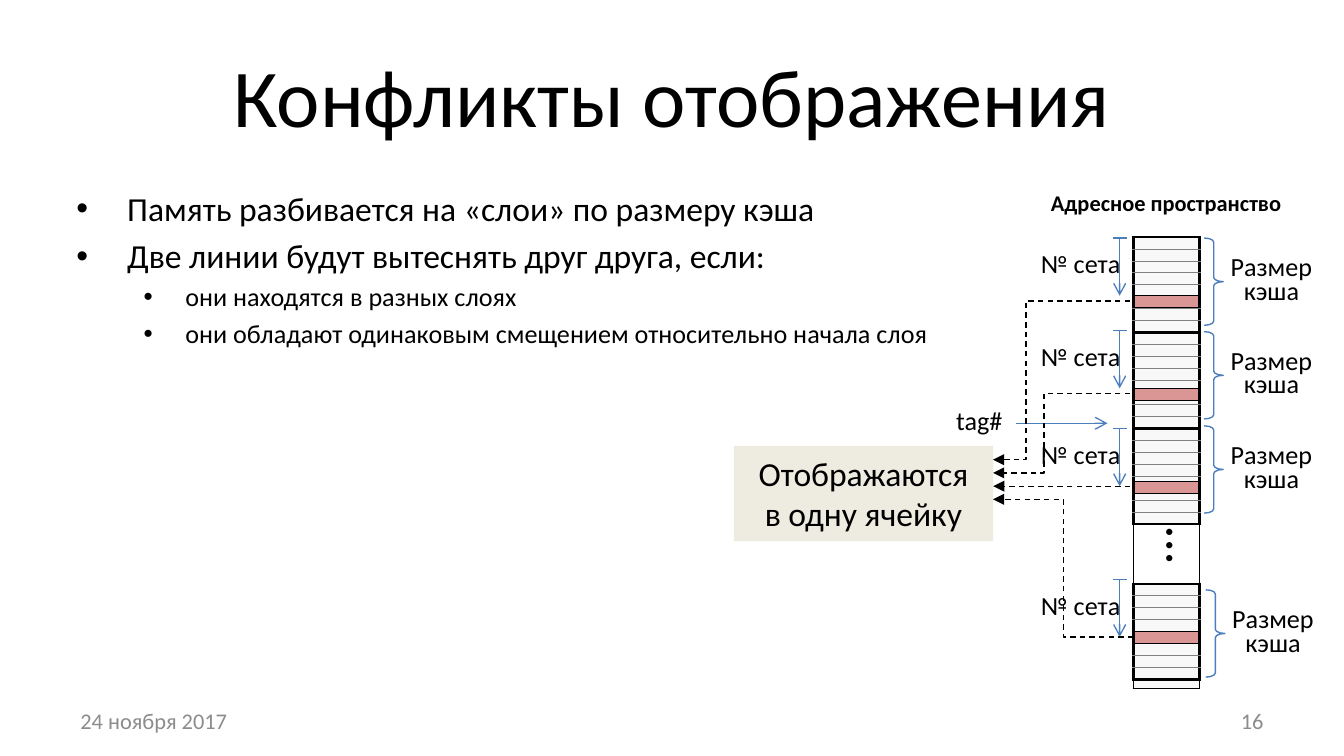
"""Build the slide on cache mapping conflicts."""
from lxml.etree import SubElement
from pptx import Presentation
from pptx.dml.color import RGBColor
from pptx.enum.dml import MSO_LINE
from pptx.enum.shapes import MSO_CONNECTOR, MSO_SHAPE
from pptx.enum.text import MSO_ANCHOR, MSO_AUTO_SIZE, PP_ALIGN
from pptx.oxml.ns import qn
from pptx.util import Cm, Pt

FONT = "Calibri"
BLACK, GREY, BLUE = "000000", "808080", "4B7EBC"
PALE, WHITE, RED, SAND, DIM = "F8F8F8", "FFFFFF", "D99694", "EEECE1", "8C8C8C"
LEFT, MID, RIGHT = PP_ALIGN.LEFT, PP_ALIGN.CENTER, PP_ALIGN.RIGHT

TITLE = "Конфликты отображения"
POINTS = [
    (0, "Память разбивается на «слои» по размеру кэша"),
    (0, "Две линии будут вытеснять друг друга, если:"),
    (1, "они находятся в разных слоях"),
    (1, "они обладают одинаковым смещением относительно начала слоя"),
]
LEVELS = [(18, 0.96, 0.96), (14, 2.06, 0.79)]

SPACE = (21.42, 4.48, 1.25, 8.39)
ROWS, GAP = 37, range(24, 29)
STEP, REST = SPACE[3] / ROWS, 0.17
THIN, BOLD, FINE = (BLACK, 1), (BLACK, 1.5), (GREY, 0.5)
GRIDS = [
    {"side": THIN, "bounds": {0: THIN, 37: THIN}, "inner": None, "rest": REST},
    {"side": THIN, "bounds": {0: THIN, 37: THIN}, "inner": FINE, "rest": REST},
    {"side": BOLD, "bounds": dict.fromkeys((0, 8, 16, 24, 29, 37), BOLD),
     "inner": FINE, "rest": 0},
]
LAYERS = [
    {"brace": (22.76, 4.5), "mark": 4.5, "line": 5.59, "from": 21.36, "bend": 0.76},
    {"brace": (22.76, 6.27), "mark": 6.25, "line": 7.34, "from": 21.36, "bend": 0.63},
    {"brace": (22.76, 8.05), "mark": 8.1, "line": 9.1, "from": 21.36, "bend": None},
    {"brace": (22.79, 11.15), "mark": 10.95, "line": 11.94, "from": 21.42, "bend": 0.5},
]
CELL = (13.87, 8.43, 4.9, 1.8)

deck = Presentation()
deck.slide_width, deck.slide_height = Cm(25.4), Cm(14.29)
slide = deck.slides.add_slide(deck.slide_layouts[1])
shapes = slide.shapes


def hue(code):
    return RGBColor.from_string(code)


def place(shape, box):
    shape.left, shape.top, shape.width, shape.height = map(Cm, box)


def write(par, text, size, color=BLACK, bold=False):
    run = par.add_run()
    run.text = text
    font = run.font
    font.name, font.size, font.bold = FONT, Pt(size), bold
    font.color.rgb = hue(color)


def label(box, text, size=14, color=BLACK, align=MID, wrap=True,
          anchor=MSO_ANCHOR.MIDDLE, bold=False, tight=False):
    shape = shapes.add_textbox(*map(Cm, box))
    frame = shape.text_frame
    frame.word_wrap, frame.vertical_anchor = wrap, anchor
    par = frame.paragraphs[0]
    par.alignment = align
    if tight:
        par.line_spacing = 0.75
    write(par, text, size, color, bold)
    return shape


def wire(start, end, color=BLUE, head=None, dash=False, bend=None):
    kind = MSO_CONNECTOR.STRAIGHT if bend is None else MSO_CONNECTOR.ELBOW
    link = shapes.add_connector(kind, *map(Cm, start + end))
    link.line.color.rgb, link.line.width = hue(color), Pt(0.75)
    if dash:
        link.line.dash_style = MSO_LINE.DASH
    props = link._element.spPr
    if head:
        SubElement(props.find(qn("a:ln")), qn("a:tailEnd"), type=head)
    if bend is not None:
        geom = props.find(qn("a:prstGeom"))
        guides = geom.find(qn("a:avLst"))
        if guides is None:
            guides = SubElement(geom, qn("a:avLst"))
        SubElement(guides, qn("a:gd"), name="adj1", fmla=f"val {bend * 100000:.0f}")
    SubElement(props, qn("a:effectLst"))


def border(props, side, edge):
    if edge is None:
        SubElement(SubElement(props, qn("a:" + side), w="0"), qn("a:noFill"))
        return
    color, width = edge
    line = SubElement(props, qn("a:" + side), w=str(Pt(width)))
    SubElement(SubElement(line, qn("a:solidFill")), qn("a:srgbClr"), val=color)


def stack(box, rows, rest=0):
    table = shapes.add_table(len(rows), 1, *map(Cm, box)).table
    table.first_row = table.horz_banding = False
    for row, (fill, side, top, base) in zip(table.rows, rows):
        row.height = Cm(STEP)
        cell = row.cells[0]
        cell.margin_left = cell.margin_right = cell.margin_top = cell.margin_bottom = 0
        props = cell._tc.get_or_add_tcPr()
        for name, edge in zip(("lnL", "lnR", "lnT", "lnB"), (side, side, top, base)):
            border(props, name, edge)
        cell.fill.solid()
        cell.fill.fore_color.rgb = hue(fill)
        SubElement(cell.text_frame.paragraphs[0]._p, qn("a:endParaRPr"), sz="400")
    row.height = Cm(STEP + rest)


def draw_grid(grid):
    def rule(row):
        inner = None if row in GAP[1:] else grid["inner"]
        return grid["bounds"].get(row, inner)

    stack(SPACE, [
        (WHITE if i in GAP else PALE, THIN if i in GAP else grid["side"], rule(i), rule(i + 1))
        for i in range(ROWS)
    ], grid["rest"])


def fill_text():
    title, body = shapes.title, slide.placeholders[1]
    place(title, (1.27, 0.59, 22.86, 2.38))
    place(body, (1.19, 3.43, 17.53, 9.42))
    for shape in (title, body):
        shape.text_frame.word_wrap = True
        shape.text_frame.auto_size = MSO_AUTO_SIZE.NONE
    write(title.text_frame.paragraphs[0], TITLE, 44)
    frame = body.text_frame
    for i, (level, text) in enumerate(POINTS):
        size, left, hang = LEVELS[level]
        par = frame.add_paragraph() if i else frame.paragraphs[0]
        par.level = level
        par.space_before = Pt(size * 0.2 if i else 0)
        props = par._p.get_or_add_pPr()
        props.set("marL", str(Cm(left)))
        props.set("indent", str(-Cm(hang)))
        SubElement(props, qn("a:buFont"), typeface="Arial")
        SubElement(props, qn("a:buChar"), char="•")
        write(par, text, size)


def draw_brace(left, top):
    brace = shapes.add_shape(MSO_SHAPE.LEFT_BRACE, *map(Cm, (left, top, 0.36, 1.65)))
    brace._element.spPr.find(qn("a:xfrm")).set("flipH", "1")
    brace.adjustments[0], brace.adjustments[1] = 0.22, 0.5
    brace.shadow.inherit = False
    brace.fill.background()
    brace.line.color.rgb, brace.line.width = hue(BLUE), Pt(0.75)
    label((left + 0.18, top + 0.25, 2.18, 1.14), "Размер кэша", tight=True)


def draw_space():
    for grid in GRIDS:
        draw_grid(grid)
    label((21.18, 9.58, 1.19, 1.45), "…", 28, align=LEFT, wrap=False,
          anchor=MSO_ANCHOR.TOP).rotation = 270
    label((19.08, 3.45, 5.92, 0.76), "Адресное пространство", 12,
          anchor=MSO_ANCHOR.TOP, bold=True)
    label((17.81, 7.65, 1.4, 0.71), "tag#", wrap=False, tight=True)
    wire((19.2, 8), (20.93, 8), head="arrow")
    for layer in LAYERS:
        stack((SPACE[0], layer["line"], SPACE[2], STEP),
              [(RED, BOLD, (BLACK, 0.5), (BLACK, 0.5))])
        draw_brace(*layer["brace"])
        mark = layer["mark"]
        wire((21.16, mark), (21.16, mark + 1.09), head="arrow")
        wire((21.29, mark), (21.03, mark))
        label((19.41, mark + 0.19, 2.03, 0.71), "№ сета", wrap=False, tight=True)


def draw_cell():
    cell = shapes.add_shape(MSO_SHAPE.RECTANGLE, *map(Cm, CELL))
    cell.shadow.inherit = False
    cell.fill.solid()
    cell.fill.fore_color.rgb = hue(SAND)
    cell.line.fill.background()
    frame = cell.text_frame
    frame.word_wrap, frame.vertical_anchor = True, MSO_ANCHOR.TOP
    frame.paragraphs[0].alignment = MID
    write(frame.paragraphs[0], "Отображаются в одну ячейку", 18)
    for i, layer in enumerate(LAYERS):
        end = 8.69 + 0.25 * i
        start = layer["line"] + 0.1 if layer["bend"] else end
        wire((layer["from"], start), (CELL[0] + CELL[2], end),
             BLACK, "triangle", True, layer["bend"])


fill_text()
draw_space()
draw_cell()
label((1.27, 13.24, 5.92, 0.76), "24 ноября 2017", 12, DIM, LEFT)
label((18.21, 13.24, 5.92, 0.76), "16", 12, DIM, RIGHT)
deck.save("out.pptx")
